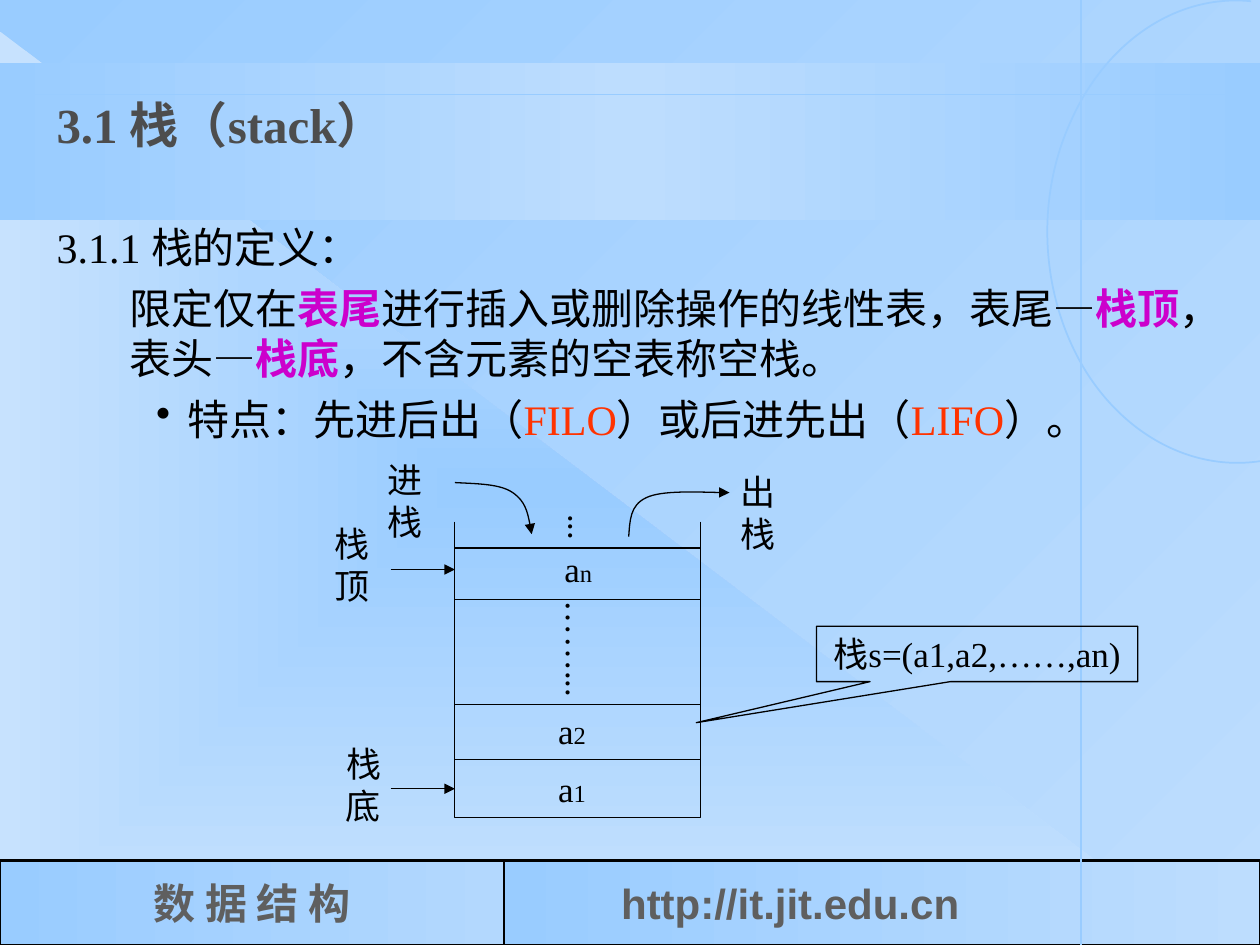
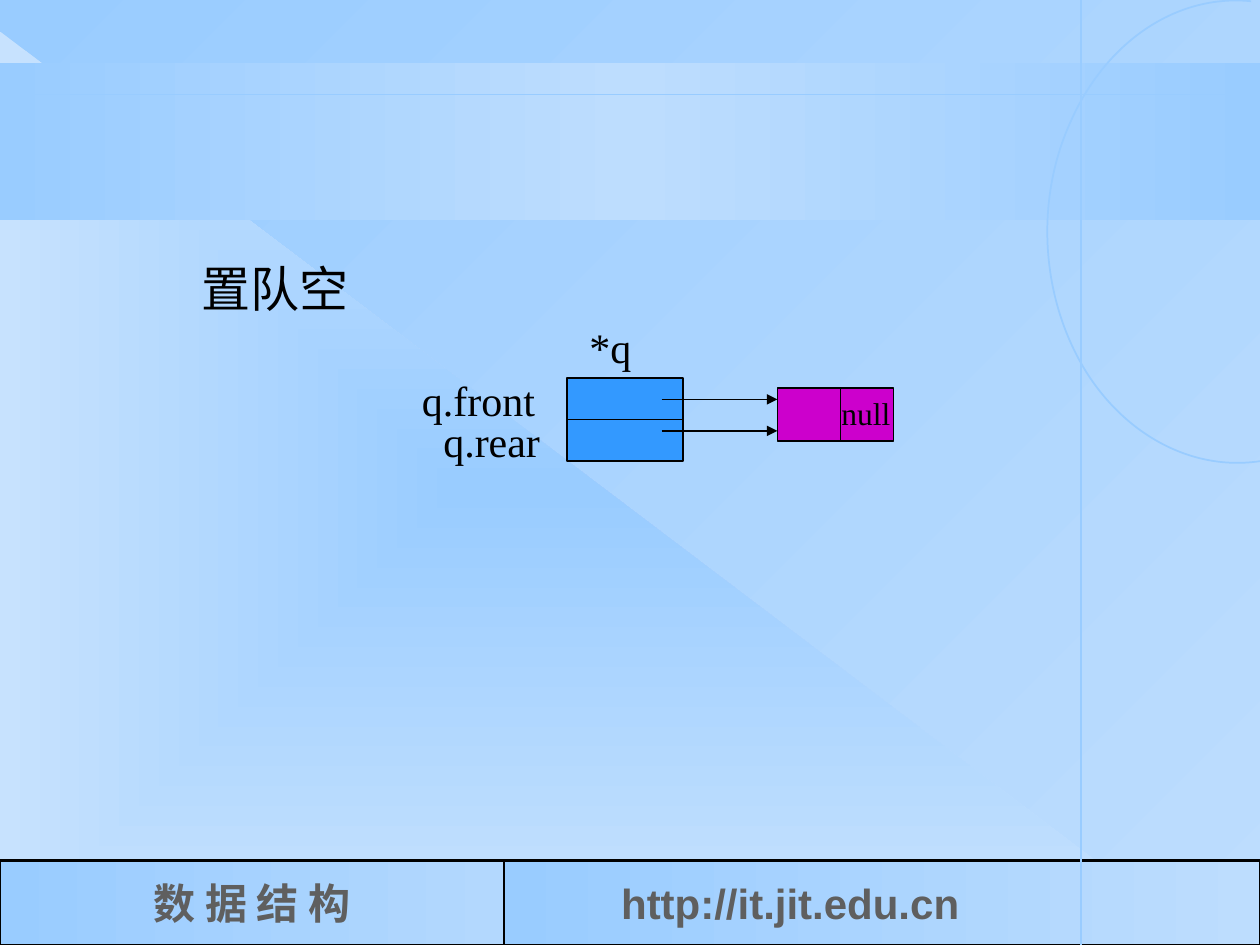
from lxml import etree
from pptx import Presentation
from pptx.dml.color import RGBColor
from pptx.enum.shapes import MSO_CONNECTOR, MSO_SHAPE
from pptx.enum.text import MSO_ANCHOR, PP_ALIGN
from pptx.oxml.ns import qn
from pptx.util import Inches, Pt

RECT = MSO_SHAPE.RECTANGLE
WEDGE = MSO_SHAPE.RECTANGULAR_CALLOUT
CORNER = MSO_SHAPE.RIGHT_TRIANGLE
STRAIGHT = MSO_CONNECTOR.STRAIGHT
MIDDLE, TOP = MSO_ANCHOR.MIDDLE, MSO_ANCHOR.TOP
CENTER, LEFT = PP_ALIGN.CENTER, PP_ALIGN.LEFT

SERIF, SANS = "Times New Roman", "Arial"
BLACK, GRAY, TITLE = "000000", "5F5F5F", "4D4D4D"
SKY, PALE, MIST, ICE = "99CCFF", "BDDDFE", "B3D8FE", "C7E2FE"
BLUE, PURPLE, RED = "3399FF", "CC00CC", "FF3300"


def rgb(code):
    """Turn a hex string into a colour."""
    return RGBColor.from_string(code)


def blend(fill, parent, colors, angle=None):
    """Fill with evenly spaced stops, along an angle or from the centre."""
    fill.solid()
    grad = etree.Element(qn("a:gradFill"), rotWithShape="1")
    stops = etree.SubElement(grad, qn("a:gsLst"))
    for i, color in enumerate(colors):
        place = str(100000 * i // (len(colors) - 1))
        stop = etree.SubElement(stops, qn("a:gs"), pos=place)
        etree.SubElement(stop, qn("a:srgbClr"), val=color)
    if angle is None:
        form = etree.SubElement(grad, qn("a:path"), {"path": "rect"})
        etree.SubElement(form, qn("a:fillToRect"),
                         {side: "50000" for side in "ltrb"})
    else:
        etree.SubElement(grad, qn("a:lin"), ang=str(angle * 60000), scaled="0")
    solid = parent.find(qn("a:solidFill"))
    parent.replace(solid, grad)


def outline(shape, color, width):
    """Set a line colour and width, or no line at all."""
    if color:
        shape.line.color.rgb = rgb(color)
        shape.line.width = Pt(width)
    else:
        shape.line.fill.background()


def head(shape):
    """Put a triangle arrowhead at the end of a line."""
    line = shape.line._get_or_add_ln()
    etree.SubElement(line, qn("a:tailEnd"), type="triangle")


def box(slide, at, fill=None, line=BLACK, width=0.75, kind=RECT, angle=None):
    """Draw a preset shape with a plain, blended or empty fill."""
    shape = slide.shapes.add_shape(kind, *map(Inches, at))
    shape.shadow.inherit = False
    if isinstance(fill, list):
        blend(shape.fill, shape._element.spPr, fill, angle)
    elif fill:
        shape.fill.solid()
        shape.fill.fore_color.rgb = rgb(fill)
    else:
        shape.fill.background()
    outline(shape, line, width)
    return shape


def rule(slide, start, end, color=BLACK, width=0.75, arrow=False):
    """Draw a straight line or arrow."""
    line = slide.shapes.add_connector(STRAIGHT, *map(Inches, start + end))
    etree.SubElement(line._element.spPr, qn("a:effectLst"))
    outline(line, color, width)
    if arrow:
        head(line)


def curve(slide, points, color=BLACK, width=0.75, arrow=False):
    """Draw an open curve from a start and triples of Bezier points."""
    spots = [(Inches(x), Inches(y)) for x, y in points]
    pen = slide.shapes.build_freeform(*spots[0])
    pen.add_line_segments(spots[1:], close=False)
    shape = pen.convert_to_shape()
    shape.shadow.inherit = False
    shape.fill.background()
    outline(shape, color, width)
    steps = list(shape._element.iter(qn("a:lnTo")))
    for i in range(0, len(steps), 3):
        bend = etree.Element(qn("a:cubicBezTo"))
        steps[i].addprevious(bend)
        for step in steps[i:i + 3]:
            bend.append(step[0])
            step.getparent().remove(step)
    if arrow:
        head(shape)


def add_run(para, text, size, color=BLACK, bold=False, font=SERIF):
    """Add one run of text."""
    run = para.add_run()
    run.text = text
    run.font.size = Pt(size)
    run.font.name = font
    run.font.bold = bold
    run.font.color.rgb = rgb(color)


def frame(shape, wrap=True, anchor=TOP, align=LEFT):
    """Prepare a text frame and give back its first paragraph."""
    text = shape.text_frame
    text.word_wrap = wrap
    text.vertical_anchor = anchor
    text.paragraphs[0].alignment = align
    return text.paragraphs[0]


def note(slide, at, text, size, color=BLACK, bold=False):
    """Add a wrapped, left-aligned text box."""
    shape = slide.shapes.add_textbox(*map(Inches, at))
    add_run(frame(shape), text, size, color, bold)


def label(slide, at, text, sub="", upright=False):
    """Add a centred label with an optional small index."""
    shape = slide.shapes.add_textbox(*map(Inches, at))
    para = frame(shape, False, MIDDLE, CENTER)
    add_run(para, text, 20)
    if sub:
        add_run(para, sub, 14)
    if upright:
        body = shape.text_frame
        body.margin_left = body.margin_right = Inches(0.05)
        body.margin_top = body.margin_bottom = Inches(0.1)
        body._txBody.bodyPr.set("vert", "eaVert")


def base(deck):
    """Add a slide with the shared background, band and footer."""
    slide = deck.slides.add_slide(deck.slide_layouts[6])
    fill = slide.background.fill
    fill.solid()
    blend(fill, slide.element.find(".//" + qn("p:bgPr")), [PALE, SKY], 225)
    box(slide, (0, 0.25, 9.58, 7.25), [SKY, ICE], None, kind=CORNER)
    box(slide, (0, 0.5, 10, 1.25), [SKY, PALE, SKY], None, angle=180)
    course = box(slide, (0, 6.83, 4, 0.67), [SKY, MIST], width=1.5, angle=0)
    add_run(frame(course, False, MIDDLE, CENTER), "数 据 结 构", 24, GRAY, True)
    site = box(slide, (4, 6.83, 6, 0.67), [SKY, PALE], width=1.5, angle=0)
    site.text_frame.margin_left = Inches(0.93)
    add_run(frame(site, True, MIDDLE), "http://it.jit.edu.cn", 24, GRAY, True, SANS)
    rule(slide, (0, 0.75), (10, 0.75), SKY, 1)
    rule(slide, (8.58, 0), (8.58, 7.5), SKY, 1.5)
    curve(slide, [(9.93, 0.01), (9.34, -0.05), (8.78, 0.33), (8.5, 0.96),
                  (8.21, 1.59), (8.26, 2.37), (8.62, 2.95),
                  (8.94, 3.46), (9.47, 3.74), (10, 3.66)], SKY, 1)
    return slide


def define(slide):
    """Write the definition of a stack."""
    note(slide, (0.35, 0.7, 9.65, 0.6), "3.1 栈（stack）", 28, TITLE, True)
    shape = slide.shapes.add_textbox(*map(Inches, (0.35, 1.71, 9.65, 2)))
    first = frame(shape)
    add_run(first, "3.1.1 栈的定义：", 24)
    rows = [
        (0.58, 0, [("限定仅在", BLACK), ("表尾", PURPLE),
                   ("进行插入或删除操作的线性表，表尾—", BLACK),
                   ("栈顶", PURPLE), ("，表头—", BLACK), ("栈底", PURPLE),
                   ("，不含元素的空表称空栈。", BLACK)]),
        (1.04, -0.25, [("特点：先进后出（", BLACK), ("FILO", RED),
                       ("）或后进先出（", BLACK), ("LIFO", RED),
                       ("）。", BLACK)]),
    ]
    for margin, indent, runs in rows:
        para = shape.text_frame.add_paragraph()
        para.space_before = Pt(6)
        props = para._p.get_or_add_pPr()
        props.set("marL", str(Inches(margin)))
        props.set("indent", str(Inches(indent)))
        if indent:
            etree.SubElement(props, qn("a:buChar"), char="•")
        for text, color in runs:
            add_run(para, text, 24, color, color == PURPLE)


def stack(slide):
    """Draw the stack with its cells, labels and arrows."""
    left, top, width, tall = 3.61, 4.35, 1.95, 2.14
    right = left + width
    box(slide, (left, top, width, tall))
    for y in (4.76, 5.59, 6.03):
        rule(slide, (left, y), (right, y))
    for x in (left, right):
        rule(slide, (x, 4.14), (x, top))
    for x, y, index in ((4.38, 4.29, "n"), (4.33, 5.58, "2"), (4.33, 6.04, "1")):
        label(slide, (x, y, 0.42, 0.44), "a", index)
    label(slide, (4.34, 4.67, 0.53, 0.87), "……...", upright=True)
    label(slide, (4.36, 3.98, 0.53, 0.31), "...", upright=True)
    for y in (4.52, 6.26):
        rule(slide, (3.1, y), (left, y), arrow=True)
    for x, y, text in ((2.51, 6.01, "栈底"), (2.42, 4.26, "栈顶"),
                       (5.64, 3.85, "出栈"), (2.84, 3.75, "进栈")):
        label(slide, (x, y, 0.75, 0.44), text)
    curve(slide, [(left, 3.83), (3.79, 3.84), (3.97, 3.84), (4.07, 3.91),
                  (4.17, 3.98), (4.2, 4.11), (4.22, 4.24)], arrow=True)
    curve(slide, [(4.99, 4.26), (5, 4.13), (5, 4.01), (5.13, 3.95),
                  (5.25, 3.89), (5.65, 3.91), (5.79, 3.91)], arrow=True)
    call = box(slide, (6.48, 4.97, 2.55, 0.44), kind=WEDGE)
    call.adjustments[0], call.adjustments[1] = -0.874, 1.24
    add_run(frame(call, False, MIDDLE, CENTER), "栈s=(a1,a2,……,an)", 20)


def queue(slide):
    """Draw the empty queue with its two pointers."""
    for y in (3, 3.33):
        box(slide, (4.5, y, 0.92, 0.33), BLUE)
    box(slide, (6.17, 3.08, 0.92, 0.42), PURPLE)
    rule(slide, (6.67, 3.08), (6.67, 3.5))
    for y in (3.17, 3.42):
        rule(slide, (5.25, y), (6.17, y), arrow=True)
    for x, y, width, text, size in (
            (3.25, 2.92, 1.33, "q.front", 24), (3.42, 3.25, 1.33, "q.rear", 24),
            (6.58, 3.08, 1.08, "null", 18), (1.5, 2, 1.58, "置队空", 28),
            (4.58, 2.5, 1.08, "*q", 24)):
        note(slide, (x, y, width, 0.5), text, size)


def main():
    """Build both slides and save the deck."""
    deck = Presentation()
    deck.slide_width, deck.slide_height = Inches(10), Inches(7.5)
    first = base(deck)
    define(first)
    stack(first)
    queue(base(deck))
    deck.save("out.pptx")


if __name__ == "__main__":
    main()
